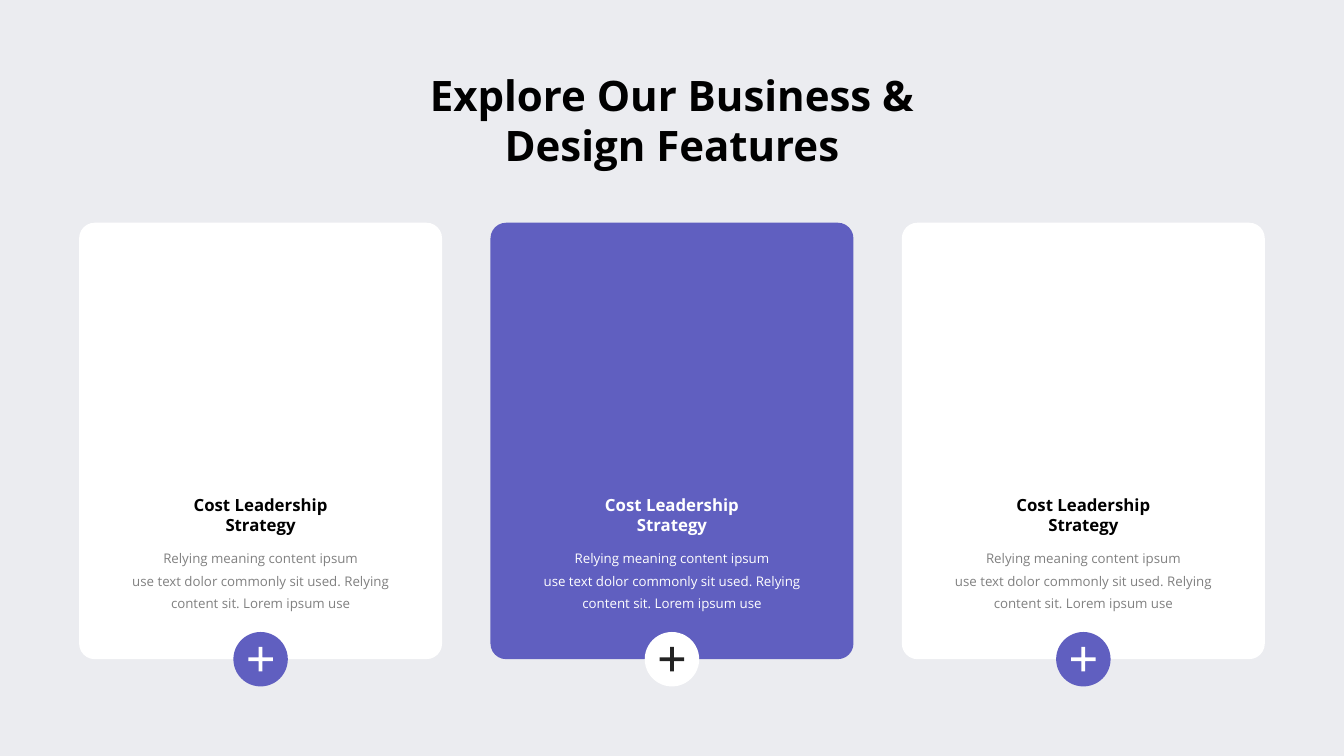
"""Build a slide with a heading and three feature cards, each with a plus button."""
import pptx
import pptx.dml.color
import pptx.enum.shapes
import pptx.enum.text
import pptx.util

RGBColor = pptx.dml.color.RGBColor
SHAPES = pptx.enum.shapes.MSO_SHAPE
BLACK = RGBColor(0x00, 0x00, 0x00)
WHITE = RGBColor(0xFF, 0xFF, 0xFF)
GREY = RGBColor(0x80, 0x80, 0x80)
CHARCOAL = RGBColor(0x23, 0x23, 0x23)
PURPLE = RGBColor(0x60, 0x5F, 0xC0)
MIST = RGBColor(0xEB, 0xEC, 0xF0)

HEADING = ["Explore Our Business &", "Design Features"]
CARD_TITLE = ["Cost Leadership", "Strategy"]
CARD_BODY = [
    "Relying meaning content ipsum",
    "use text dolor commonly sit used. Relying",
    "content sit. Lorem ipsum use",
]
LIGHT = {"card": WHITE, "title": BLACK, "body": GREY, "button": PURPLE, "plus": WHITE}
ACCENT = {"card": PURPLE, "title": WHITE, "body": WHITE, "button": WHITE, "plus": CHARCOAL}
CARDS = [LIGHT, ACCENT, LIGHT]

HEADING_FONT = {"name": "Open Sans", "size": pptx.util.Pt(30), "bold": True}
TITLE_FONT = {"name": "Open Sans", "size": pptx.util.Pt(12), "bold": True}
BODY_FONT = {"name": "Open Sans", "size": pptx.util.Pt(9.5), "bold": False}

WIDTH, HEIGHT = 13.33, 7.5
CARD_WIDTH, CARD_HEIGHT, CARD_TOP = 3.6, 4.33, 2.21
PITCH = 4.08
BUTTON, PLUS = 0.54, 0.33


def frame(center, top, width, height):
    return [pptx.util.Inches(v) for v in (center - width / 2, top, width, height)]


def add_block(page, kind, place, color, rounding=None):
    block = page.shapes.add_shape(kind, *frame(*place))
    block.shadow.inherit = False
    block.fill.solid()
    block.fill.fore_color.rgb = color
    block.line.fill.background()
    if rounding is not None:
        block.adjustments[0] = rounding


def add_text(page, lines, place, font, color, wrap=False, spacing=None):
    box = page.shapes.add_textbox(*frame(*place))
    box.text_frame.word_wrap = wrap
    box.text_frame.auto_size = pptx.enum.text.MSO_AUTO_SIZE.SHAPE_TO_FIT_TEXT
    box.text_frame.text = "\n".join(lines)
    for para in box.text_frame.paragraphs:
        para.alignment = pptx.enum.text.PP_ALIGN.CENTER
        if spacing is not None:
            para.line_spacing = spacing
        for span in para.runs:
            for key, value in font.items():
                setattr(span.font, key, value)
            span.font.color.rgb = color


def add_card(page, center, colors):
    bottom = CARD_TOP + CARD_HEIGHT
    add_block(page, SHAPES.ROUNDED_RECTANGLE,
              (center, CARD_TOP, CARD_WIDTH, CARD_HEIGHT), colors["card"], 0.043)
    add_block(page, SHAPES.OVAL,
              (center, bottom - BUTTON / 2, BUTTON, BUTTON), colors["button"])
    add_block(page, SHAPES.MATH_PLUS,
              (center, bottom - PLUS / 2, PLUS, PLUS), colors["plus"], 0.113)
    add_text(page, CARD_TITLE, (center, 4.86, 1.55, 0.5), TITLE_FONT, colors["title"])
    add_text(page, CARD_BODY, (center, 5.35, 2.78, 0.77), BODY_FONT, colors["body"],
             wrap=True, spacing=pptx.util.Pt(16))


def main():
    deck = pptx.Presentation()
    deck.slide_width = pptx.util.Inches(WIDTH)
    deck.slide_height = pptx.util.Inches(HEIGHT)
    page = deck.slides.add_slide(deck.slide_layouts[6])
    page.background.fill.solid()
    page.background.fill.fore_color.rgb = MIST
    add_text(page, HEADING, (WIDTH / 2, 0.64, 5.05, 1.11), HEADING_FONT, BLACK)
    for column, colors in enumerate(CARDS):
        add_card(page, WIDTH / 2 + (column - 1) * PITCH, colors)
    deck.save("out.pptx")


if __name__ == "__main__":
    main()
